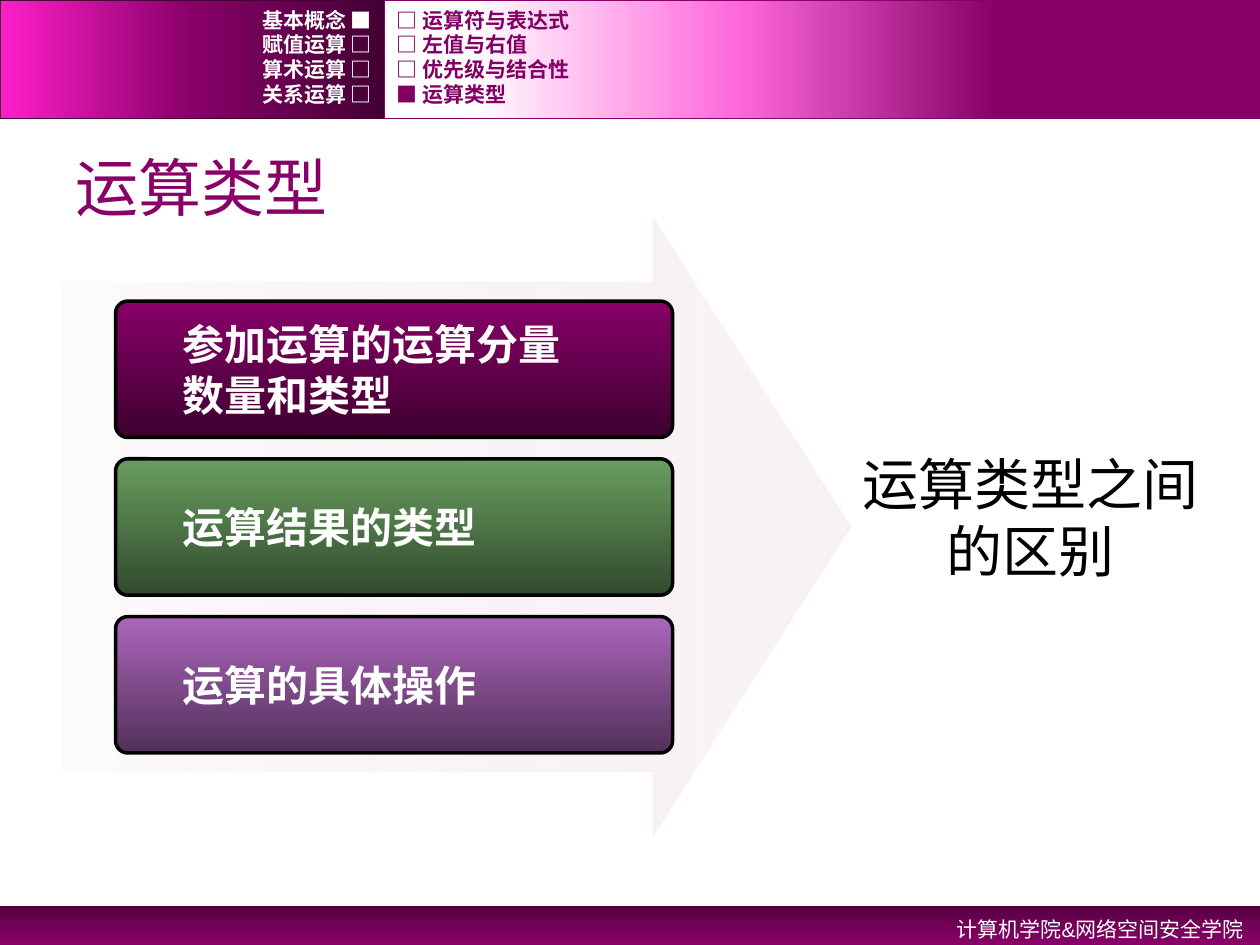
from dataclasses import dataclass

from lxml.etree import SubElement as Sub
from pptx import Presentation
from pptx.dml.color import RGBColor as RGB
from pptx.enum.shapes import MSO_SHAPE as Geo
from pptx.enum.text import MSO_ANCHOR as Anchor, PP_ALIGN as Align
from pptx.oxml.ns import qn
from pptx.util import Cm, Pt


@dataclass(frozen=True)
class Theme:
    plum: str = "880068"
    dark: str = "440034"
    deep: str = "51003E"
    mid: str = "730058"
    pink: str = "FF1FCA"
    rose: str = "FF69DC"
    nav: str = "820064"
    white: str = "FFFFFF"
    black: str = "000000"
    pale: str = "F4E7ED"
    blush: str = "F9F2F5"
    green: tuple = ("699D5F", "314A2D")
    violet: tuple = ("AC66BB", "523059")
    wine: tuple = ("880068", "3D002F")
    sans: str = "Arial"
    mono: str = "Courier New"
    han: str = "Noto Sans CJK SC"
    small: int = 12
    card: int = 24
    claim: int = 32
    title: int = 36


class Deck:
    def __init__(self, theme):
        self.theme = theme
        self.prs = Presentation()
        self.prs.slide_width, self.prs.slide_height = Cm(25.4), Cm(19.05)
        self.slide = self.prs.slides.add_slide(self.prs.slide_layouts[6])

    def shape(self, geo, box, stops=None, angle=0, line=None, width=1, adj=()):
        item = self.slide.shapes.add_shape(geo, *map(Cm, box))
        item.shadow.inherit = False
        for i, value in enumerate(adj):
            item.adjustments[i] = value
        if stops:
            self.blend(item, stops, angle)
        else:
            item.fill.background()
        if line:
            item.line.color.rgb = RGB.from_string(line)
            item.line.width = Pt(width)
        else:
            item.line.fill.background()
        return item

    def blend(self, item, stops, angle):
        """Fill with stops of (position %, colour[, opacity %])."""
        item.fill.gradient()
        grad = item._element.spPr.find(qn("a:gradFill"))
        for child in list(grad):
            grad.remove(child)
        group = Sub(grad, qn("a:gsLst"))
        for pos, color, *alpha in stops:
            stop = Sub(group, qn("a:gs"), pos=str(pos * 1000))
            tint = Sub(stop, qn("a:srgbClr"), val=color)
            for value in alpha:
                Sub(tint, qn("a:alpha"), val=str(value * 1000))
        Sub(grad, qn("a:lin"), ang=str(angle * 60000), scaled="0")

    def text(self, item, words, size, color, font, bold=False,
             align=Align.LEFT, anchor=Anchor.MIDDLE, space=None, indent=0):
        frame = item.text_frame
        frame.text = words
        frame.word_wrap = True
        frame.vertical_anchor = anchor
        for para in frame.paragraphs:
            para.alignment = align
            if space:
                para.line_spacing = space
            if indent:
                para._p.get_or_add_pPr().set("marL", str(Cm(indent)))
            for run in para.runs:
                run.font.size, run.font.bold = Pt(size), bold
                run.font.name = font
                run.font.color.rgb = RGB.from_string(color)
                latin = run.font._element.find(qn("a:latin"))
                latin.addnext(latin.makeelement(
                    qn("a:ea"), {"typeface": self.theme.han}))
        return frame

    def label(self, box, words, size, color, font, **style):
        item = self.slide.shapes.add_textbox(*map(Cm, box))
        return self.text(item, words, size, color, font, **style)

    def card(self, box, words, colors):
        t = self.theme
        item = self.shape(Geo.ROUNDED_RECTANGLE, box,
                          [(0, colors[0]), (100, colors[1])], 90,
                          t.black, 2, [0.09])
        frame = self.text(item, words, t.card, t.white, t.han, bold=True,
                          indent=1.27)
        frame.margin_left = frame.margin_right = 0
        frame.word_wrap = False


def main():
    t = Theme()
    deck = Deck(t)
    split, wide, band = 7.75, 25.4, 2.39

    # Footer and header bands
    deck.shape(Geo.RECTANGLE, (0, 18.26, wide, 0.79),
               [(0, t.deep), (50, t.mid), (100, t.plum)], 90)
    deck.shape(Geo.RECTANGLE, (0, 0, split, band),
               [(0, t.dark), (50, t.plum), (100, t.pink)], 180, t.dark)
    deck.shape(Geo.RECTANGLE, (split, 0, wide - split, band),
               [(30, t.plum), (60, t.rose), (90, t.white)], 180, t.plum)
    deck.label((16.3, 18.26, 9.02, 0.81), "计算机学院&网络空间安全学院",
               t.small, t.white, t.sans, align=Align.RIGHT,
               anchor=Anchor.TOP, space=1.2)

    # Arrow behind the cards
    deck.shape(Geo.RIGHT_ARROW, (1.27, 4.37, 15.88, 12.5),
               [(0, t.pale, 15), (100, t.blush)], adj=[0.79, 0.32])

    # Cards
    cards = [("参加运算的运算分量\n数量和类型", t.wine),
             ("运算结果的类型", t.green),
             ("运算的具体操作", t.violet)]
    for i, (words, colors) in enumerate(cards):
        deck.card((2.33, 6.07 + i * 3.18, 11.23, 2.75), words, colors)

    # Claim and title
    claim = deck.shape(Geo.ROUNDED_RECTANGLE, (16.92, 8.62, 7.7, 3.6),
                       adj=[0.09])
    deck.text(claim, "运算类型之间的区别", t.claim, t.black, t.sans,
              align=Align.CENTER)
    deck.label((1.27, 2.77, 22.86, 1.98), "运算类型", t.title, t.plum, t.sans)

    # Header navigation
    columns = [
        (0, split, t.white, Align.RIGHT,
         ["基本概念 ■", "赋值运算 □", "算术运算 □", "关系运算 □"]),
        (split, 15.29, t.nav, Align.LEFT,
         ["□ 运算符与表达式", "□ 左值与右值", "□ 优先级与结合性",
          "■ 运算类型"]),
    ]
    for left, width, color, align, items in columns:
        for i, words in enumerate(items):
            deck.label((left, 0.15 + i * 0.5, width, 0.5), words, t.small,
                       color, t.mono, bold=True, align=align)

    deck.prs.save("out.pptx")


if __name__ == "__main__":
    main()
